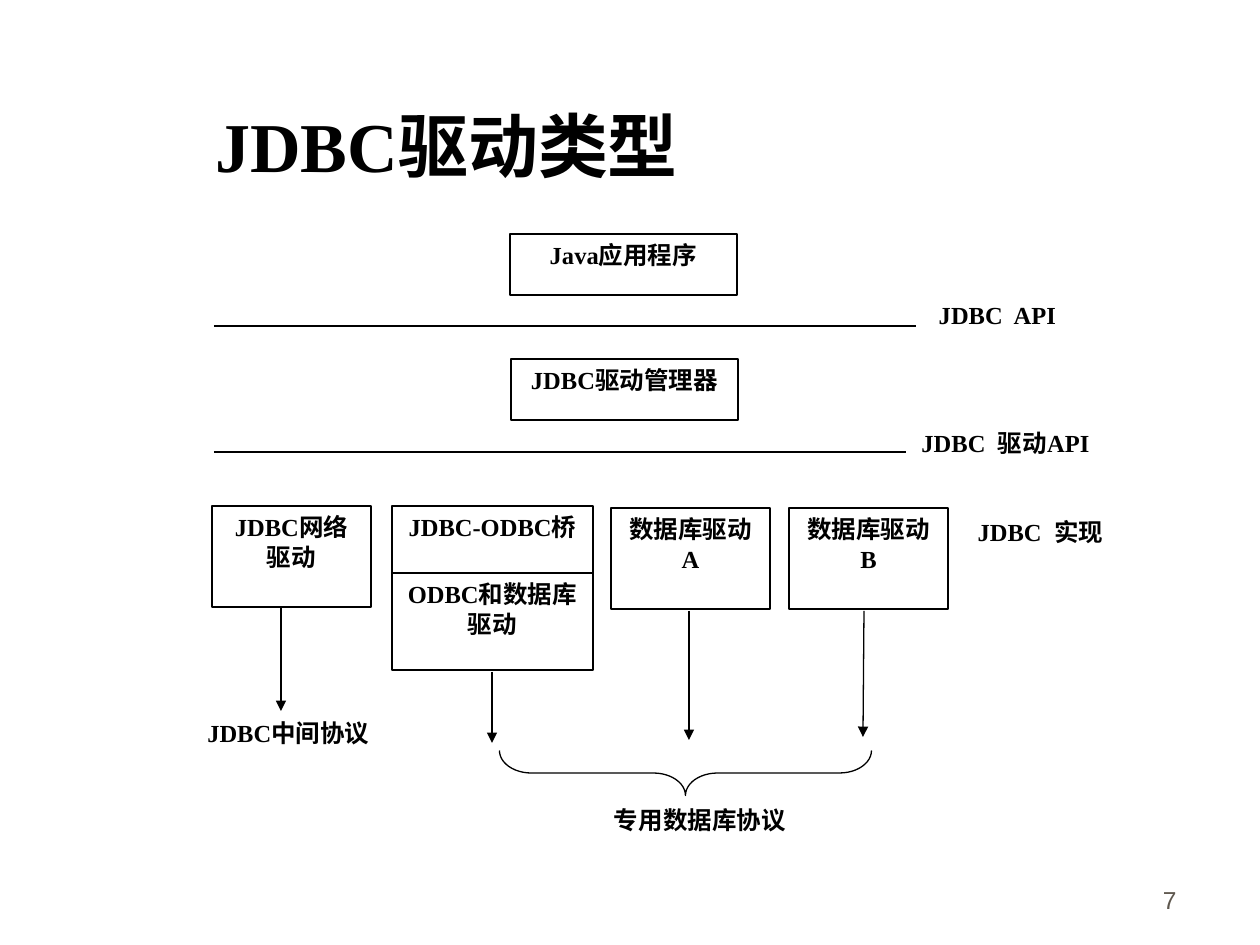
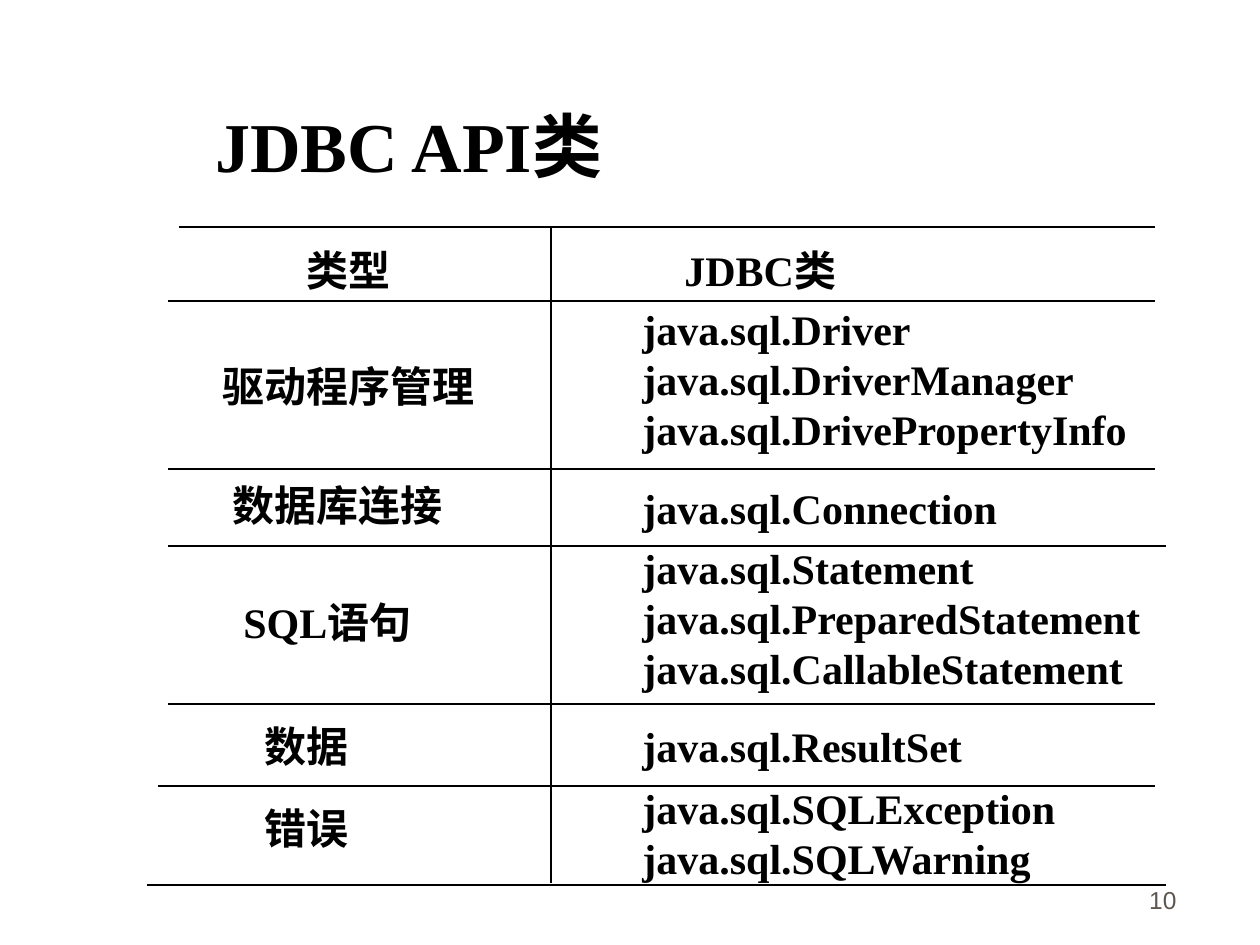
from pptx import Presentation
from pptx.dml.color import RGBColor
from pptx.enum.shapes import MSO_CONNECTOR as Link, MSO_SHAPE as Form
from pptx.enum.text import MSO_ANCHOR as Anchor, MSO_AUTO_SIZE as Fit, PP_ALIGN as Align
from pptx.oxml.ns import qn
from pptx.util import Pt
from lxml.etree import SubElement

BLACK = RGBColor(0x00, 0x00, 0x00)
WHITE = RGBColor(0xFF, 0xFF, 0xFF)
GREY = RGBColor(0x5E, 0x57, 0x4E)
SERIF, SANS = "Times New Roman", "Arial"
PX = 914400 / 126


def write(shape, text, size, align=Align.LEFT, face=SERIF, color=BLACK, bold=True):
    frame = shape.text_frame
    frame.text = text
    frame.word_wrap = True
    frame.auto_size = Fit.NONE
    frame.vertical_anchor = Anchor.TOP
    for para in frame.paragraphs:
        para.alignment = align
        for run in para.runs:
            run.font.name = face
            run.font.size = Pt(size)
            run.font.bold = bold
            run.font.color.rgb = color


def rule(slide, x1, y1, x2, y2, arrow=False):
    ends = [round(n * PX) for n in (x1, y1, x2, y2)]
    line = slide.shapes.add_connector(Link.STRAIGHT, *ends)
    line.line.color.rgb = BLACK
    line.line.width = Pt(0.75)
    props = line._element.spPr
    if arrow:
        SubElement(props.find(qn("a:ln")), qn("a:tailEnd"), type="triangle")
    SubElement(props, qn("a:effectLst"))


deck = Presentation()
deck.slide_width = round(1260 * PX)
deck.slide_height = round(945 * PX)
slides = []
for title, width, number in [("JDBC驱动类型", 648, "7"), ("JDBC API类", 604, "10")]:
    slide = deck.slides.add_slide(deck.slide_layouts[5])
    slides.append(slide)
    head = slide.shapes.title
    head.left, head.top, head.width, head.height = [round(n * PX) for n in (203, 96, width, 97)]
    write(head, title, 40)
    foot = slide.shapes.add_textbox(*[round(n * PX) for n in (927, 858, 262, 63)])
    write(foot, number, 14, Align.RIGHT, SANS, GREY, False)
    foot.text_frame.vertical_anchor = Anchor.BOTTOM
types, classes = slides

boxes = [
    ("Java应用程序", 510, 234, 227, 61),
    ("JDBC驱动管理器", 511, 359, 227, 61),
    ("JDBC网络驱动", 212, 506, 159, 101),
    ("JDBC-ODBC桥", 392, 506, 201, 68),
    ("ODBC和数据库驱动", 392, 573, 201, 97),
    ("数据库驱动A", 611, 508, 159, 101),
    ("数据库驱动B", 789, 508, 159, 101),
]
for text, *place in boxes:
    box = types.shapes.add_shape(Form.RECTANGLE, *[round(n * PX) for n in place])
    box.shadow.inherit = False
    box.fill.solid()
    box.fill.fore_color.rgb = WHITE
    box.line.color.rgb = BLACK
    box.line.width = Pt(0.75)
    write(box, text, 14, Align.CENTER)

labels = [
    ("专用数据库协议", 543, 799, 314),
    ("JDBC中间协议", 174, 712, 229),
    ("JDBC  API", 883, 294, 229),
    ("JDBC  驱动API", 891, 422, 229),
    ("JDBC  实现", 926, 511, 229),
]
for text, left, top, width in labels:
    label = types.shapes.add_textbox(*[round(n * PX) for n in (left, top, width, 61)])
    write(label, text, 14, Align.CENTER)

for right, y in [(916, 326), (906, 452)]:
    rule(types, 214, y, right, y)
for x1, y1, x2, y2 in [(281, 607, 281, 711), (492, 672, 492, 743),
                       (689, 611, 689, 740), (864, 611, 863, 737)]:
    rule(types, x1, y1, x2, y2, True)

brace = types.shapes.add_shape(Form.LEFT_BRACE, *[round(n * PX) for n in (663, 587, 45, 372)])
brace.rotation = 270
brace.adjustments[0] = 0.71
brace.shadow.inherit = False
brace.fill.background()
brace.line.color.rgb = BLACK
brace.line.width = Pt(0.75)

header = classes.shapes.add_textbox(*[round(n * PX) for n in (294, 238, 766, 63)])
write(header, "类型\tJDBC类", 24)
props = header.text_frame.paragraphs[0]._p.get_or_add_pPr()
stops = SubElement(props, qn("a:tabLst"))
SubElement(stops, qn("a:tab"), pos=str(round(378 * PX)), algn="l")

rows = [
    ("驱动程序管理", 210, 354, 297, ["Driver", "DriverManager", "DrivePropertyInfo"]),
    ("数据库连接", 220, 473, 476, ["Connection"]),
    ("SQL语句", 231, 590, 536, ["Statement", "PreparedStatement", "CallableStatement"]),
    ("数据", 252, 714, 714, ["ResultSet"]),
    ("错误", 252, 796, 776, ["SQLException", "SQLWarning"]),
]
for kind, left, top, start, names in rows:
    cell = classes.shapes.add_textbox(*[round(n * PX) for n in (left, top, 310, 63)])
    write(cell, kind, 24)
    high = 13 + 50 * len(names)
    cell = classes.shapes.add_textbox(*[round(n * PX) for n in (630, start, 586, high)])
    write(cell, "\n".join("java.sql." + name for name in names), 24)

for left, right, y in [(179, 1155, 227), (168, 1155, 301), (168, 1155, 469), (168, 1166, 546),
                       (168, 1155, 704), (158, 1155, 786), (147, 1166, 885)]:
    rule(classes, left, y, right, y)
rule(classes, 551, 228, 551, 883)

deck.save("out.pptx")
